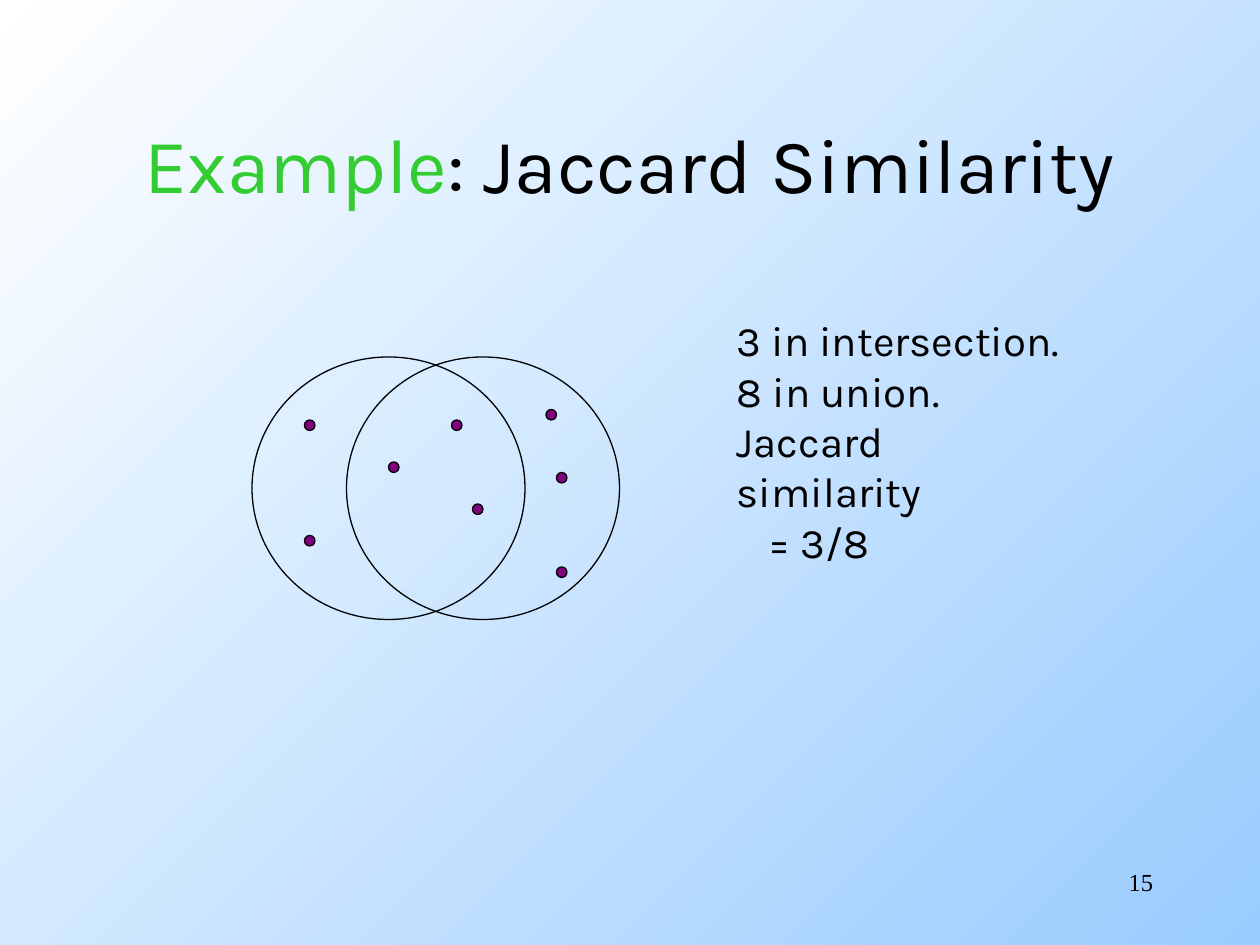
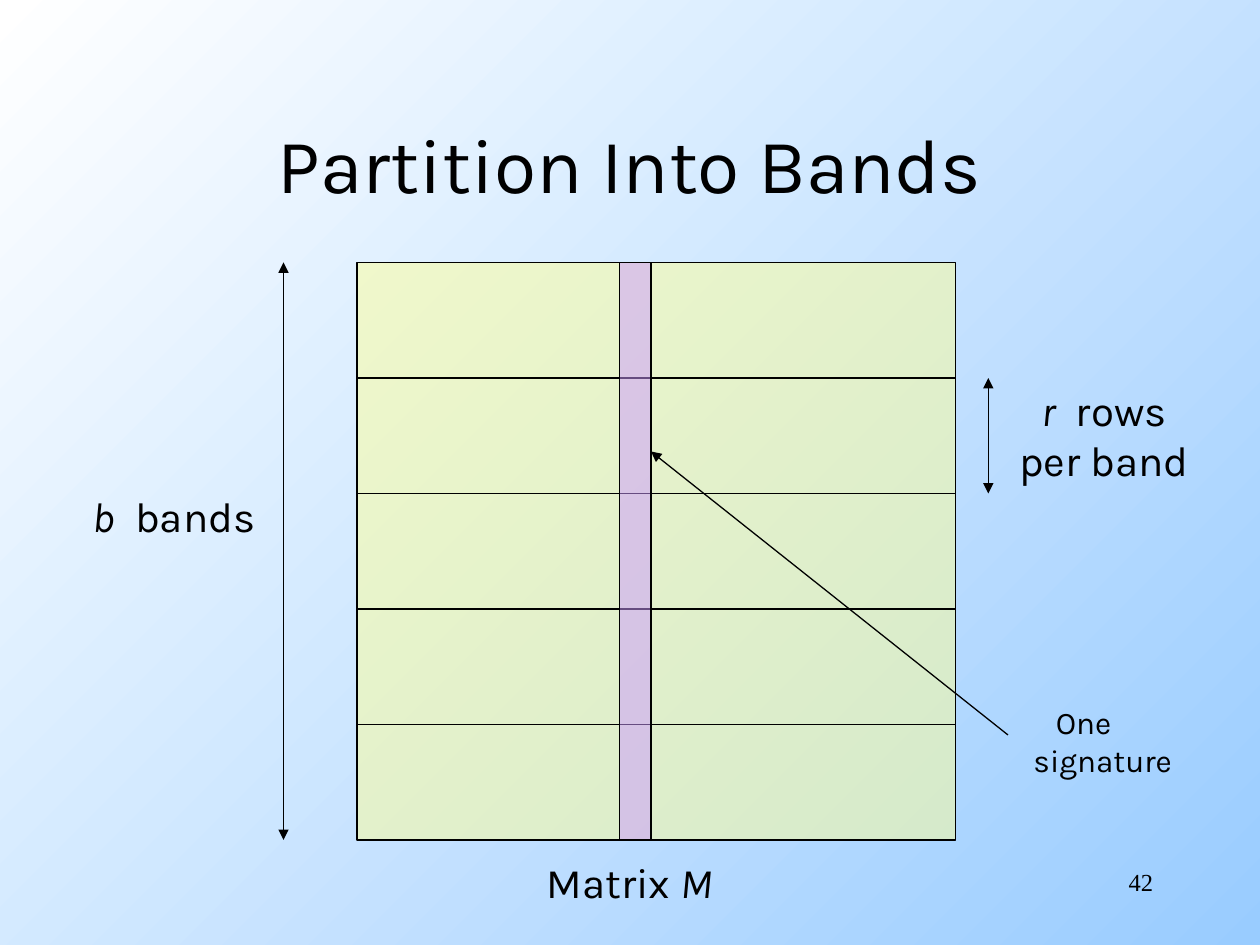
from collections import namedtuple

from lxml.etree import SubElement
from pptx import Presentation
from pptx.dml.color import RGBColor
from pptx.enum.shapes import MSO_CONNECTOR, MSO_SHAPE
from pptx.enum.text import MSO_ANCHOR, PP_ALIGN
from pptx.oxml.ns import qn
from pptx.util import Pt

PX = 9525
BLACK = RGBColor(0x00, 0x00, 0x00)
WHITE = RGBColor(0xFF, 0xFF, 0xFF)
SKY = RGBColor(0x99, 0xCC, 0xFF)
GREEN = RGBColor(0x33, 0xCC, 0x33)
PURPLE = RGBColor(0x80, 0x00, 0x80)
LILAC = RGBColor(0xCC, 0x99, 0xFF)
YELLOW = RGBColor(0xFF, 0xFF, 0x99)
BODY_FONT = "Karla"
NUMBER_FONT = "Times New Roman"
HAIRLINE = Pt(0.75)

Box = namedtuple("Box", "left top width height")
Span = namedtuple("Span", "text color italic gap", defaults=(BLACK, False, 0))

TITLE_BOX = Box(72, 64, 816, 120)
NUMBER_BOX = Box(688, 656, 200, 48)


def emu(*lengths):
    """Turn px lengths into EMU."""
    return [length * PX for length in lengths]


def add_spans(paragraph, spans, size, font=BODY_FONT):
    """Add styled runs; a gap widens the spacing after a run, in points."""
    for span in spans:
        run = paragraph.add_run()
        run.text = span.text
        run.font.name = font
        run.font.size = Pt(size)
        run.font.italic = span.italic
        run.font.color.rgb = span.color
        if span.gap:
            run._r.get_or_add_rPr().set("spc", str(span.gap * 100))


def add_label(slide, box, lines, size=24, align=PP_ALIGN.CENTER,
              font=BODY_FONT, wrap=False):
    """Add a text box with one paragraph for each list of spans."""
    frame = slide.shapes.add_textbox(*emu(*box)).text_frame
    frame.word_wrap = wrap
    for index, spans in enumerate(lines):
        paragraph = frame.add_paragraph() if index else frame.paragraphs[0]
        paragraph.alignment = align
        add_spans(paragraph, spans, size, font)
    return frame


def indent(paragraph, px):
    """Set the left margin of a paragraph."""
    paragraph._p.get_or_add_pPr().set("marL", str(px * PX))


def add_outlined(slide, preset, box, fill=None, alpha=None):
    """Add a thin black outlined shape, optionally filled."""
    shape = slide.shapes.add_shape(preset, *emu(*box))
    shape.shadow.inherit = False
    shape.line.color.rgb = BLACK
    shape.line.width = HAIRLINE
    if fill is None:
        shape.fill.background()
    else:
        shape.fill.solid()
        shape.fill.fore_color.rgb = fill
    if alpha is not None:
        color = shape._element.spPr.find(qn("a:solidFill")).find(qn("a:srgbClr"))
        SubElement(color, qn("a:alpha"), val=str(alpha * 1000))


def add_line(slide, start, end, ends=()):
    """Add a thin black line with triangles at the named ends."""
    line = slide.shapes.add_connector(
        MSO_CONNECTOR.STRAIGHT, *emu(*start, *end))
    line.line.color.rgb = BLACK
    line.line.width = HAIRLINE
    for end_tag in ends:
        SubElement(line.line._get_or_add_ln(), qn(end_tag), type="triangle")
    SubElement(line._element.spPr, qn("a:effectLst"))


def paint_background(master):
    """Give the master its diagonal white to sky gradient."""
    fill = master.background.fill
    fill.gradient()
    fill.gradient_angle = 315
    for stop, color in zip(fill.gradient_stops, (WHITE, SKY)):
        stop.color.rgb = color


def add_titled_slide(prs, title_spans, number):
    """Add a slide with its title and page number."""
    slide = prs.slides.add_slide(prs.slide_layouts[5])
    title = slide.shapes.title
    title.left, title.top, title.width, title.height = emu(*TITLE_BOX)
    title.text_frame.vertical_anchor = MSO_ANCHOR.MIDDLE
    heading = title.text_frame.paragraphs[0]
    heading.alignment = PP_ALIGN.CENTER
    add_spans(heading, title_spans, 44)
    add_label(slide, NUMBER_BOX, [[Span(number)]], 14, PP_ALIGN.RIGHT,
              NUMBER_FONT, wrap=True)
    return slide


def draw_venn(slide, box):
    """Draw two overlapping sets and their elements."""
    set_width = 208
    for left in (box.left + box.width - set_width, box.left):
        add_outlined(slide, MSO_SHAPE.OVAL,
                     Box(left, box.top, set_width, box.height))
    elements = [(40, 48), (40, 136), (104, 80), (168, 112),
                (152, 48), (232, 88), (232, 160), (224, 40)]
    for x, y in elements:
        add_outlined(slide, MSO_SHAPE.OVAL,
                     Box(box.left + x, box.top + y, 8, 8), PURPLE)


def draw_matrix(slide, box, bands=5):
    """Draw the banded matrix with its signature column and labels."""
    right, bottom = box.left + box.width, box.top + box.height
    band_height = box.height // bands
    both = ("a:headEnd", "a:tailEnd")

    add_outlined(slide, MSO_SHAPE.RECTANGLE, box, YELLOW, 50)
    for band in range(1, bands):
        y = box.top + band * band_height
        add_line(slide, (box.left, y), (right, y))
    add_label(slide, Box(box.left + 132, bottom + 8, 151, 48),
              [[Span("Matrix "), Span("M", italic=True)]])

    second_band = box.top + band_height
    add_label(slide, Box(right + 35, second_band, 156, 86),
              [[Span("r", italic=True), Span(" ", gap=6), Span("rows")],
               [Span("per band")]])
    add_line(slide, (right + 25, second_band),
             (right + 25, second_band + band_height), both)

    add_line(slide, (box.left - 56, box.top), (box.left - 56, bottom), both)
    add_label(slide, Box(box.left - 213, box.top + 169, 147, 48),
              [[Span("b", italic=True), Span(" ", gap=6), Span("bands")]])

    signature = Box(box.left + 200, box.top, 24, box.height)
    add_outlined(slide, MSO_SHAPE.RECTANGLE, signature, LILAC, 50)
    add_line(slide, (right + 40, box.top + 360),
             (signature.left + signature.width, box.top + 144), both[1:])
    caption = add_label(slide, Box(right + 50, box.top + 331, 130, 67),
                        [[Span("One")], [Span("signature")]], 18,
                        PP_ALIGN.LEFT, wrap=True)
    indent(caption.paragraphs[0], 17)


def build_jaccard(prs):
    """Build the Jaccard similarity example."""
    slide = add_titled_slide(
        prs, [Span("Example", GREEN), Span(": Jaccard Similarity")], "15")
    draw_venn(slide, Box(192, 272, 280, 200))
    counts = ["3 in intersection.", "8 in union.", "Jaccard similarity", "= 3/8"]
    result = add_label(slide, Box(552, 235, 273, 163),
                       [[Span(count)] for count in counts],
                       align=PP_ALIGN.LEFT, wrap=True)
    indent(result.paragraphs[-1], 24)


def build_bands(prs):
    """Build the slide on partitioning the matrix into bands."""
    slide = add_titled_slide(prs, [Span("Partition Into Bands")], "42")
    draw_matrix(slide, Box(272, 200, 456, 440))


def main():
    """Build and save the presentation."""
    prs = Presentation()
    prs.slide_width, prs.slide_height = emu(960, 720)
    paint_background(prs.slide_master)
    build_jaccard(prs)
    build_bands(prs)
    prs.save("out.pptx")


if __name__ == "__main__":
    main()
